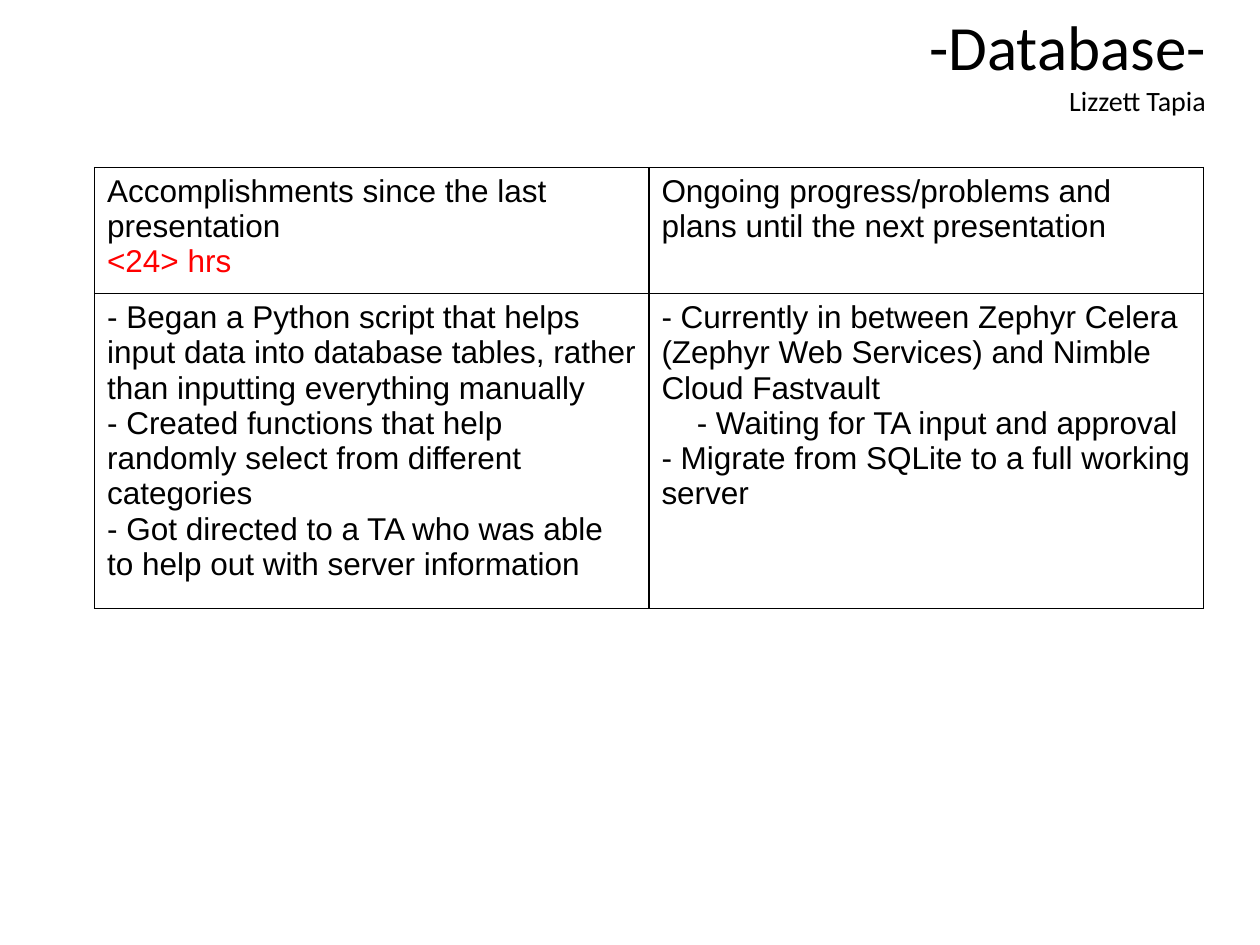
"""Build the database progress slide with its two-column status table."""
from lxml import etree
from pptx import Presentation
from pptx import util as u
from pptx.dml.color import RGBColor
from pptx.enum import text
from pptx.oxml.ns import qn

BLACK, RED = "000000", "FF0000"
TITLE_LINES = [("-Database-", 36), ("Lizzett Tapia", 16)]
TITLE_BOX = (2.42, 0.01, 7.25, 0.98)
TABLE_LEFT, TABLE_TOP = 0.75, 1.33
COLUMN_WIDTHS = [4.4, 4.4]
ROW_HEIGHTS = [1.0, 2.5]
SUBITEM_INDENT = 0.28
CELLS = [
    [
        [("Accomplishments since the last presentation", BLACK, 0), ("<24> hrs", RED, 0)],
        [("Ongoing progress/problems and plans until the next presentation", BLACK, 0)],
    ],
    [
        [
            ("- Began a Python script that helps input data into database tables, "
             "rather than inputting everything manually", BLACK, 0),
            ("- Created functions that help randomly select from different categories", BLACK, 0),
            ("- Got directed to a TA who was able to help out with server information", BLACK, 0),
        ],
        [
            ("- Currently in between Zephyr Celera (Zephyr Web Services) and "
             "Nimble Cloud Fastvault", BLACK, 0),
            ("- Waiting for TA input and approval", BLACK, 1),
            ("- Migrate from SQLite to a full working server", BLACK, 0),
        ],
    ],
]


def write_paragraph(paragraph, words, font_name, size, color):
    paragraph.text = words
    font = paragraph.runs[0].font
    font.name = font_name
    font.size = u.Pt(size)
    font.bold = False
    font.color.rgb = RGBColor.from_string(color)


def paragraph_at(frame, index):
    return frame.paragraphs[0] if index == 0 else frame.add_paragraph()


def add_borders(cell, color, width):
    properties = cell._tc.get_or_add_tcPr()
    for position, side in enumerate(("lnL", "lnR", "lnT", "lnB")):
        line = etree.Element(qn(f"a:{side}"), w=str(u.Pt(width)))
        fill = etree.SubElement(line, qn("a:solidFill"))
        etree.SubElement(fill, qn("a:srgbClr"), val=color)
        properties.insert(position, line)


def add_title(slide):
    title = slide.shapes.title
    title.left, title.top, title.width, title.height = map(u.Inches, TITLE_BOX)
    frame = title.text_frame
    frame.word_wrap = True
    frame.auto_size = text.MSO_AUTO_SIZE.SHAPE_TO_FIT_TEXT
    frame.vertical_anchor = text.MSO_ANCHOR.TOP
    for index, (words, size) in enumerate(TITLE_LINES):
        paragraph = paragraph_at(frame, index)
        write_paragraph(paragraph, words, "Calibri", size, BLACK)
        paragraph.alignment = text.PP_ALIGN.RIGHT


def add_status_table(slide):
    box = (TABLE_LEFT, TABLE_TOP, sum(COLUMN_WIDTHS), sum(ROW_HEIGHTS))
    table = slide.shapes.add_table(
        len(ROW_HEIGHTS), len(COLUMN_WIDTHS), *map(u.Inches, box)).table
    table.first_row = table.horz_banding = False
    for column, width in zip(table.columns, COLUMN_WIDTHS):
        column.width = u.Inches(width)
    for row, height, contents in zip(table.rows, ROW_HEIGHTS, CELLS):
        row.height = u.Inches(height)
        for cell, lines in zip(row.cells, contents):
            cell.fill.background()
            add_borders(cell, BLACK, 1)
            for index, (words, color, level) in enumerate(lines):
                paragraph = paragraph_at(cell.text_frame, index)
                write_paragraph(paragraph, words, "Arial", 18, color)
                if level:
                    indent = u.Inches(SUBITEM_INDENT * level)
                    paragraph._p.get_or_add_pPr().set("marL", str(indent))


def main():
    presentation = Presentation()
    presentation.slide_width, presentation.slide_height = u.Inches(10), u.Inches(7.5)
    slide = presentation.slides.add_slide(presentation.slide_layouts[5])
    add_title(slide)
    add_status_table(slide)
    presentation.save("out.pptx")


if __name__ == "__main__":
    main()
